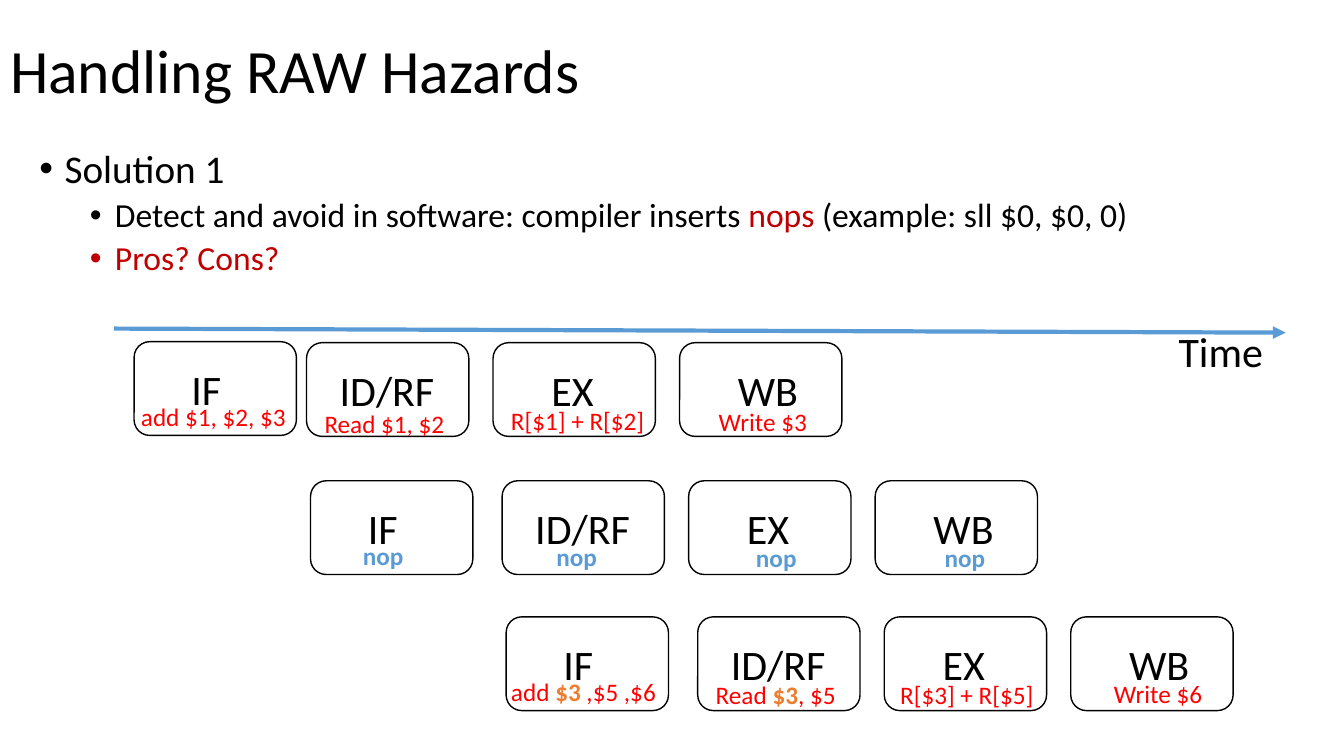
from lxml.etree import SubElement
from pptx import Presentation
from pptx.dml.color import RGBColor
from pptx.enum.shapes import MSO_CONNECTOR as Connector, MSO_SHAPE as Shape
from pptx.enum.text import MSO_ANCHOR as Anchor, MSO_AUTO_SIZE as AutoSize, PP_ALIGN as Align
from pptx.oxml.ns import qn
from pptx.util import Emu, Pt

PX = 9144
COLOURS = {"black": "000000", "dark_red": "C00000", "red": "FF0000", "blue": "5B9BD5", "orange": "ED7D31"}

BOX_WIDTH, BOX_HEIGHT = 161, 93
ROW_SHIFT = 194
STAGES = [("IF", 0, 47, 50), ("ID/RF", 190, 23, 115), ("EX", 375, 48, 63), ("WB", 560, 48, 81)]
FIRST_FETCH = (133, 339)
NOP = [("nop", "blue", True)]
INSTRUCTIONS = [
    (340, [
        (130, 393, 166, [("add $1, $2, $3", "red", False)]),
        (312, 400, 141, [("Read $1, $2", "red", False)]),
        (497, 397, 154, [("R[$1] + R[$2]", "red", False)]),
        (703, 398, 109, [("Write $3", "red", False)]),
    ]),
    (477, [(350, 531, 60, NOP), (542, 532, 60, NOP), (740, 533, 60, NOP), (927, 533, 60, NOP)]),
    (612, [
        (497, 666, 166, [("add ", "red", False), ("$3", "orange", True), (" ,$5 ,$6", "red", False)]),
        (700, 669, 141, [("Read ", "red", False), ("$3", "orange", True), (", $5", "red", False)]),
        (883, 669, 154, [("R[$3] + R[$5]", "red", False)]),
        (1095, 668, 109, [("Write $6", "red", False)]),
    ]),
]


def add_text(paragraph, text, size=30, colour="black", bold=False, font="Calibri"):
    run = paragraph.add_run()
    run.text = text
    run.font.name = font
    run.font.size = Pt(size)
    run.font.bold = bold
    run.font.color.rgb = RGBColor.from_string(COLOURS[colour])


class SlideBuilder:
    def __init__(self, presentation):
        self.slide = presentation.slides.add_slide(presentation.slide_layouts[1])
        self.shapes = self.slide.shapes

    def place(self, shape, left, top, width, height):
        shape.left, shape.top = Emu(left * PX), Emu(top * PX)
        shape.width, shape.height = Emu(width * PX), Emu(height * PX)

    def title(self, text, *bounds):
        title = self.shapes.title
        self.place(title, *bounds)
        title.text_frame.auto_size = AutoSize.NONE
        title.text_frame.vertical_anchor = Anchor.MIDDLE
        paragraph = title.text_frame.paragraphs[0]
        paragraph.alignment = Align.LEFT
        paragraph.line_spacing = 0.9
        add_text(paragraph, text, size=44)

    def bullets(self, items, *bounds):
        body = self.slide.placeholders[1]
        self.place(body, *bounds)
        frame = body.text_frame
        frame.auto_size = AutoSize.NONE
        for number, (level, runs) in enumerate(items):
            paragraph = frame.add_paragraph() if number else frame.paragraphs[0]
            paragraph.level = level
            paragraph.line_spacing = 0.9
            paragraph.space_before = Pt((10, 5)[level])
            properties = paragraph._p.get_or_add_pPr()
            properties.set("marL", str((25, 75)[level] * PX))
            properties.set("indent", str(-25 * PX))
            SubElement(properties, qn("a:buFont"), typeface="Arial")
            SubElement(properties, qn("a:buChar"), char="•")
            for text, colour in runs:
                add_text(paragraph, text, size=(28, 24)[level], colour=colour)

    def label(self, runs, left, top, width, height, size=30):
        label = self.shapes.add_textbox(0, 0, 0, 0)
        self.place(label, left, top, width, height)
        label.text_frame.word_wrap = False
        label.text_frame.auto_size = AutoSize.SHAPE_TO_FIT_TEXT
        for text, colour, bold in runs:
            add_text(label.text_frame.paragraphs[0], text, size=size, colour=colour, bold=bold)

    def stage(self, name, left, top, inset, label_width):
        box = self.shapes.add_shape(Shape.ROUNDED_RECTANGLE, 0, 0, 0, 0)
        self.place(box, left, top, BOX_WIDTH, BOX_HEIGHT)
        box.shadow.inherit = False
        box.fill.background()
        box.line.color.rgb = RGBColor.from_string(COLOURS["black"])
        box.line.width = Pt(1)
        self.label([(name, "black", False)], left + inset, top + 17, label_width, 61)

    def arrow(self, *ends):
        arrow = self.shapes.add_connector(Connector.STRAIGHT, *[Emu(end * PX) for end in ends])
        arrow.line.color.rgb = RGBColor.from_string(COLOURS["blue"])
        arrow.line.width = Pt(3)
        SubElement(arrow.line._get_or_add_ln(), qn("a:tailEnd"), type="triangle")
        SubElement(arrow._element.spPr, qn("a:effectLst"))


def main():
    presentation = Presentation()
    presentation.slide_width, presentation.slide_height = Emu(1333 * PX), Emu(750 * PX)
    builder = SlideBuilder(presentation)
    builder.title("Handling RAW Hazards", 0, 0, 1150, 145)
    builder.bullets([
        (0, [("Solution 1", "black")]),
        (1, [("Detect and avoid in software: compiler inserts ", "black"), ("nops ", "dark_red"),
             ("(example: sll $0, $0, 0)", "black")]),
        (1, [("Pros? Cons?", "dark_red")]),
    ], 29, 143, 1202, 476)
    builder.arrow(113, 326, 1275, 330)
    builder.label([("Time", "black", False)], 1159, 318, 105, 61)
    for row, (row_top, notes) in enumerate(INSTRUCTIONS):
        for column, (name, offset, inset, label_width) in enumerate(STAGES):
            left, top = 114 + row * ROW_SHIFT + offset, row_top
            if row == column == 0:
                left, top = FIRST_FETCH
            builder.stage(name, left, top, inset, label_width)
        for note_left, note_top, note_width, runs in notes:
            builder.label(runs, note_left, note_top, note_width, 40, size=18)
    presentation.save("out.pptx")


if __name__ == "__main__":
    main()
